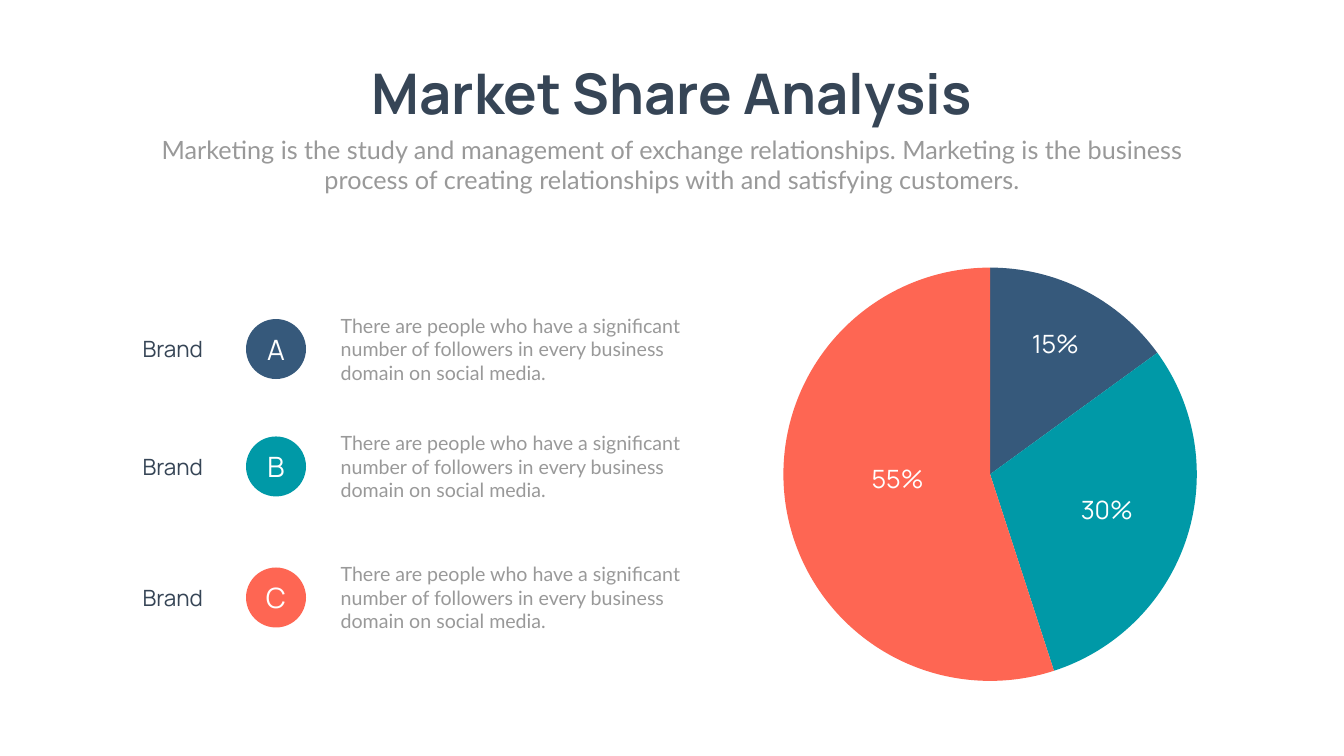
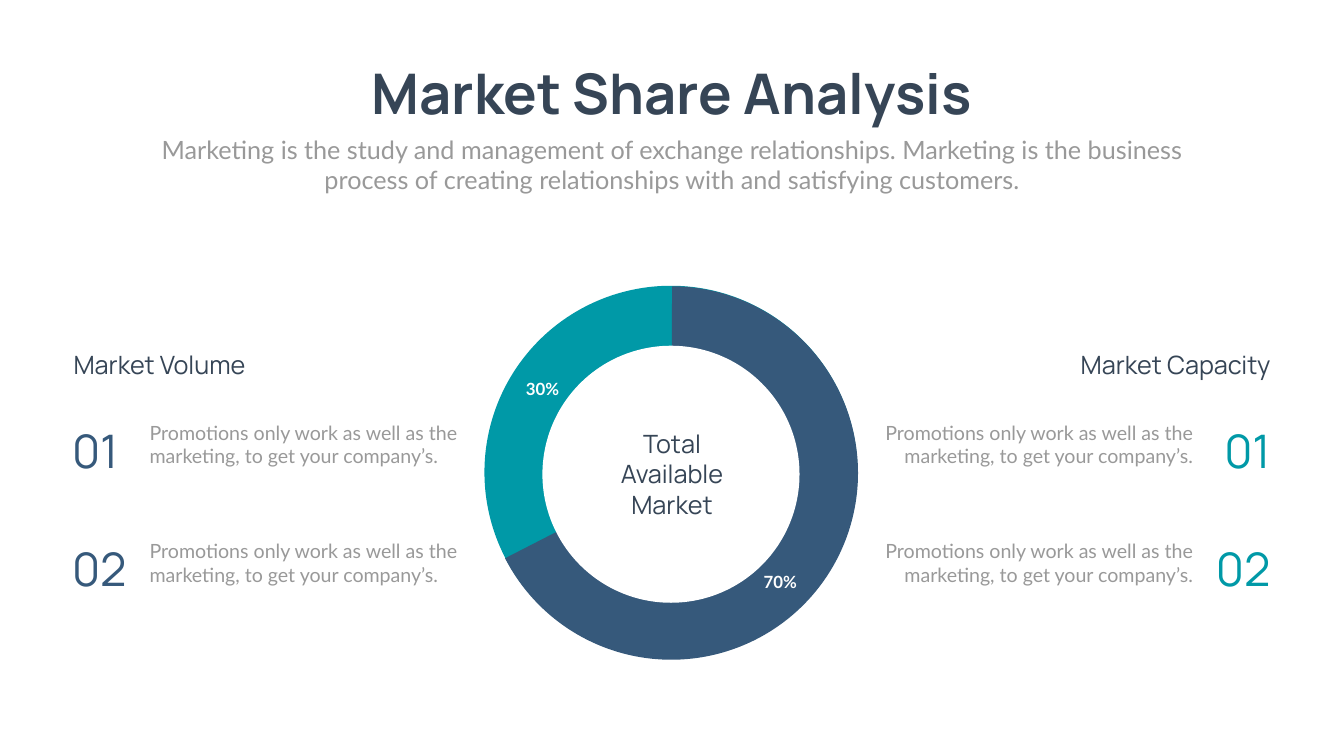
from dataclasses import dataclass

from lxml import etree
from pptx import Presentation
from pptx.dml.color import RGBColor
from pptx.enum.shapes import MSO_SHAPE
from pptx.enum.text import MSO_ANCHOR, MSO_AUTO_SIZE, PP_ALIGN
from pptx.oxml.ns import qn
from pptx.shapes.autoshape import Shape
from pptx.slide import Slide
from pptx.util import Emu, Pt

PX = 9144  # EMU per px, 100 px to the inch
SLIDE_WIDTH, SLIDE_HEIGHT = 2666, 1500

NAVY = RGBColor(0x36, 0x59, 0x7B)
TEAL = RGBColor(0x00, 0x99, 0xA7)
CORAL = RGBColor(0xFE, 0x66, 0x53)
INK = RGBColor(0x36, 0x45, 0x56)
GREY = RGBColor(0x99, 0x99, 0x99)
WHITE = RGBColor(0xFF, 0xFF, 0xFF)

LEFT, CENTER, RIGHT = PP_ALIGN.LEFT, PP_ALIGN.CENTER, PP_ALIGN.RIGHT

TITLE = "Market Share Analysis"
SUBTITLE = (
    "Marketing is the study and management of exchange relationships. "
    "Marketing is the business process of creating relationships with "
    "and satisfying customers."
)
BRAND_TEXT = (
    "There are people who have a significant number of followers "
    "in every business domain on social media."
)
PROMOTION_TEXT = "Promotions only work as well as the marketing, to get your company’s."


@dataclass(frozen=True)
class Box:
    left: int
    top: int
    width: int
    height: int


@dataclass(frozen=True)
class Style:
    size: int
    font: str
    color: RGBColor
    align: PP_ALIGN = LEFT
    bold: bool = False


@dataclass(frozen=True)
class Brand:
    letter: str
    color: RGBColor
    top: int
    share: int
    label_left: int
    label_top: int


@dataclass(frozen=True)
class MarketSide:
    heading: str
    color: RGBColor
    align: PP_ALIGN
    heading_left: int
    number_left: int
    text_left: int


BRANDS = [
    Brand("A", NAVY, 617, 15, 1981, 647),
    Brand("B", TEAL, 850, 30, 2083, 976),
    Brand("C", CORAL, 1110, 55, 1668, 915),
]
SIDES = [
    MarketSide("Market Volume", NAVY, LEFT, 136, 133, 287),
    MarketSide("Market Capacity", TEAL, RIGHT, 2031, 2391, 1728),
]


def place(shape: Shape, box: Box) -> None:
    shape.left, shape.top = Emu(box.left * PX), Emu(box.top * PX)
    shape.width, shape.height = Emu(box.width * PX), Emu(box.height * PX)


def write(shape: Shape, text: str, style: Style) -> None:
    """Fill a shape with text, one paragraph per line of the string."""
    shape.text_frame.text = text
    for paragraph in shape.text_frame.paragraphs:
        paragraph.alignment = style.align
        paragraph.font.size = Pt(style.size)
        paragraph.font.name = style.font
        paragraph.font.bold = style.bold
        paragraph.font.color.rgb = style.color


def fit_to_text(shape: Shape, wrap: bool = True) -> None:
    shape.text_frame.word_wrap = wrap
    shape.text_frame.auto_size = MSO_AUTO_SIZE.SHAPE_TO_FIT_TEXT
    shape.text_frame.vertical_anchor = MSO_ANCHOR.TOP


def add_text(slide: Slide, box: Box, text: str, style: Style) -> None:
    textbox = slide.shapes.add_textbox(0, 0, 0, 0)
    place(textbox, box)
    fit_to_text(textbox)
    write(textbox, text, style)


def add_solid(slide: Slide, preset: MSO_SHAPE, box: Box, color: RGBColor) -> Shape:
    solid = slide.shapes.add_shape(preset, 0, 0, 0, 0)
    place(solid, box)
    solid.shadow.inherit = False
    solid.fill.solid()
    solid.fill.fore_color.rgb = color
    solid.line.fill.background()
    return solid


def add_pie(slide: Slide, box: Box, color: RGBColor, start: float, end: float) -> None:
    """Draw a sector clockwise between two angles in degrees from 3 o'clock."""
    sector = add_solid(slide, MSO_SHAPE.PIE, box, color)
    for index, degrees in enumerate((start, end)):
        sector.adjustments[index] = degrees % 360 * 0.6  # 60000 units per degree


def add_market_slide(deck: Presentation) -> Slide:
    """Add a slide with the shared title and subtitle."""
    slide = deck.slides.add_slide(deck.slide_layouts[1])
    title, subtitle = slide.shapes.title, slide.placeholders[1]

    place(title, Box(676, 112, 1314, 145))
    fit_to_text(title, wrap=False)
    write(title, TITLE, Style(80, "Manrope", INK, CENTER, True))

    place(subtitle, Box(292, 261, 2082, 131))
    fit_to_text(subtitle)
    subtitle.text_frame.text = SUBTITLE
    paragraph = subtitle.text_frame.paragraphs[0]
    properties = paragraph._p.get_or_add_pPr()
    properties.set("marL", "0")
    properties.set("indent", "0")
    etree.SubElement(properties, qn("a:buNone"))
    paragraph.space_before = Pt(0)
    paragraph.alignment = CENTER
    paragraph.font.size = Pt(36)
    paragraph.font.name = "Lato"
    paragraph.font.color.rgb = GREY
    return slide


def build_brand_shares(deck: Presentation) -> None:
    slide = add_market_slide(deck)

    # Share pie, clockwise from 12 o'clock
    start = 270.0
    for brand in BRANDS:
        end = start + brand.share * 3.6
        add_pie(slide, Box(1554, 531, 820, 820), brand.color, start, end)
        start = end
    for brand in BRANDS:
        add_text(slide, Box(brand.label_left, brand.label_top, 225, 71),
                 f"{brand.share}%", Style(36, "Manrope", WHITE, CENTER))

    # Brand rows
    for brand in BRANDS:
        add_text(slide, Box(666, brand.top, 753, 151), BRAND_TEXT,
                 Style(28, "Lato", GREY))
        add_text(slide, Box(273, brand.top + 44, 200, 64), "Brand",
                 Style(32, "Manrope", INK))
        badge = add_solid(slide, MSO_SHAPE.OVAL,
                          Box(488, brand.top + 16, 119, 119), brand.color)
        badge.text_frame.vertical_anchor = MSO_ANCHOR.MIDDLE
        write(badge, brand.letter, Style(40, "Manrope", WHITE, CENTER))


def build_available_market(deck: Presentation) -> None:
    slide = add_market_slide(deck)

    # Ring
    add_solid(slide, MSO_SHAPE.OVAL, Box(961, 567, 740, 740), TEAL)
    add_pie(slide, Box(961, 568, 741, 741), NAVY, 270.26, 152.83)
    add_solid(slide, MSO_SHAPE.OVAL, Box(1076, 686, 510, 510), WHITE)
    share_style = Style(24, "Lato", WHITE, CENTER, True)
    add_text(slide, Box(1466, 1130, 164, 50), "70%", share_style)
    add_text(slide, Box(994, 747, 164, 50), "30%", share_style)
    add_text(slide, Box(1191, 845, 284, 192), "Total Available\nMarket",
             Style(36, "Manrope", INK, CENTER))

    # Numbered points on both sides
    for side in SIDES:
        add_text(slide, Box(side.heading_left, 688, 499, 71), side.heading,
                 Style(36, "Manrope", INK, side.align))
        for row, number in enumerate(("01", "02")):
            top = 830 + row * 235
            add_text(slide, Box(side.number_left, top + 2, 139, 121), number,
                     Style(66, "Manrope", side.color, side.align))
            add_text(slide, Box(side.text_left, top, 648, 104), PROMOTION_TEXT,
                     Style(28, "Lato", GREY, side.align))


def main() -> None:
    deck = Presentation()
    deck.slide_width = Emu(SLIDE_WIDTH * PX)
    deck.slide_height = Emu(SLIDE_HEIGHT * PX)
    build_brand_shares(deck)
    build_available_market(deck)
    deck.save("out.pptx")


if __name__ == "__main__":
    main()
